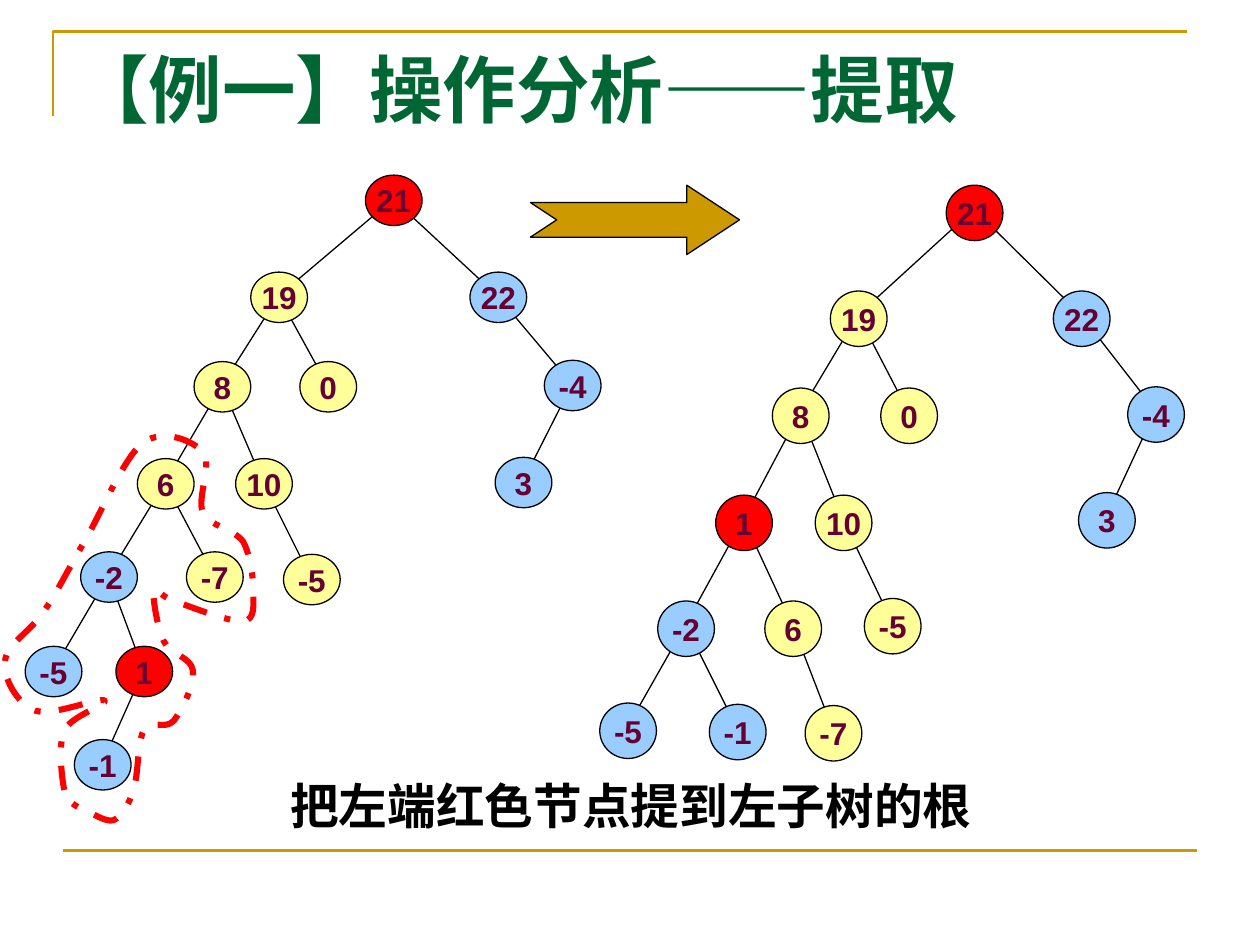
from lxml import etree
from pptx import Presentation
from pptx.dml.color import RGBColor
from pptx.enum.dml import MSO_LINE
from pptx.enum.shapes import MSO_CONNECTOR, MSO_SHAPE
from pptx.enum.text import MSO_ANCHOR, PP_ALIGN
from pptx.oxml.ns import qn
from pptx.util import Pt

PX = 9144  # 100 px to the inch
STRAIGHT = MSO_CONNECTOR.STRAIGHT
LEFT, CENTER = PP_ALIGN.LEFT, PP_ALIGN.CENTER

RED, YELLOW, BLUE = "FF0000", "FFFF99", "99CCFF"
GOLD, BLACK, PLUM, GREEN = "CC9900", "000000", "660033", "006633"

TITLE = "【例一】操作分析——提取"
CAPTION = "把左端红色节点提到左子树的根"

# Each node: label, fill, left, top, index of its parent
TREE_BEFORE = [
    ("21", RED, 290, 139, None),
    ("19", YELLOW, 199, 216, 0),
    ("22", BLUE, 373, 216, 0),
    ("8", YELLOW, 154, 287, 1),
    ("0", YELLOW, 238, 287, 1),
    ("-4", BLUE, 432, 286, 2),
    ("3", BLUE, 393, 363, 5),
    ("6", YELLOW, 109, 364, 3),
    ("10", YELLOW, 187, 364, 3),
    ("-2", BLUE, 64, 438, 7),
    ("-7", YELLOW, 148, 438, 7),
    ("-5", YELLOW, 225, 440, 8),
    ("-5", BLUE, 20, 513, 9),
    ("1", RED, 92, 513, 9),
    ("-1", BLUE, 59, 587, 13),
]
TREE_AFTER = [
    ("21", RED, 751, 147, None),
    ("19", YELLOW, 659, 231, 0),
    ("22", BLUE, 836, 231, 0),
    ("8", YELLOW, 613, 308, 1),
    ("0", YELLOW, 699, 308, 1),
    ("-4", BLUE, 895, 307, 2),
    ("3", BLUE, 856, 391, 5),
    ("1", RED, 568, 393, 3),
    ("10", YELLOW, 647, 393, 3),
    ("-2", BLUE, 522, 477, 7),
    ("6", YELLOW, 607, 477, 7),
    ("-5", YELLOW, 686, 475, 8),
    ("-5", BLUE, 476, 558, 9),
    ("-1", BLUE, 563, 559, 9),
    ("-7", YELLOW, 639, 560, 10),
]
TREES = [(TREE_BEFORE, 45, 40), (TREE_AFTER, 45, 44)]
HUB = (22, 19)  # where edges meet inside a node

# Dashed outline: start, then two control points and an end for each curve
OUTLINE_START = (51, 627)
OUTLINE_CURVES = [
    ((49, 617), (46, 591), (51, 580)),
    ((56, 568), (87, 559), (83, 556)),
    ((79, 553), (41, 569), (28, 564)),
    ((14, 559), (2, 538), (4, 525)),
    ((5, 511), (25, 501), (35, 485)),
    ((46, 469), (54, 452), (67, 430)),
    ((80, 408), (98, 363), (114, 351)),
    ((130, 340), (154, 350), (161, 359)),
    ((169, 368), (156, 395), (161, 407)),
    ((167, 418), (186, 420), (193, 430)),
    ((199, 441), (201, 459), (201, 469)),
    ((201, 480), (203, 492), (193, 493)),
    ((182, 494), (150, 481), (138, 477)),
    ((126, 473), (123, 464), (122, 469)),
    ((121, 475), (125, 498), (130, 509)),
    ((135, 519), (152, 522), (153, 532)),
    ((155, 543), (144, 564), (138, 572)),
    ((131, 580), (119, 570), (114, 580)),
    ((109, 589), (110, 615), (106, 627)),
    ((102, 639), (97, 648), (90, 651)),
    ((84, 653), (73, 645), (67, 643)),
    ((60, 640), (54, 637), (51, 627)),
]


def emu(*lengths):
    return [length * PX for length in lengths]


def color(hex_string):
    return RGBColor.from_string(hex_string)


def style(shape, fill, line, width):
    shape.shadow.inherit = False
    if fill:
        shape.fill.solid()
        shape.fill.fore_color.rgb = color(fill)
    else:
        shape.fill.background()
    shape.line.color.rgb = color(line)
    shape.line.width = Pt(width)


def write(shape, text, size, font, ink, align):
    para = shape.text_frame.paragraphs[0]
    para.text = text
    para.alignment = align
    para.font.size = Pt(size)
    para.font.name = font
    para.font.bold = True
    para.font.color.rgb = color(ink)
    return para


def add_line(page, start, end, ink, width):
    line = page.shapes.add_connector(STRAIGHT, *emu(*start, *end))
    line.line.color.rgb = color(ink)
    line.line.width = Pt(width)
    etree.SubElement(line._element.spPr, qn("a:effectLst"))


def add_polyline(page, points, close):
    builder = page.shapes.build_freeform(*points[0], scale=PX)
    builder.add_line_segments(points[1:], close=close)
    return builder.convert_to_shape()


def add_curve(page, start, curves):
    """Lay the points as line segments, then merge each three into one Bezier."""
    shape = add_polyline(page, [start] + [point for curve in curves for point in curve], True)
    segments = list(shape._element.iter(qn("a:lnTo")))
    for first in range(0, 3 * len(curves), 3):
        bezier = etree.Element(qn("a:cubicBezTo"))
        segments[first].addprevious(bezier)
        for segment in segments[first:first + 3]:
            bezier.append(segment[0])
            segment.getparent().remove(segment)
    for spare in list(shape._element.iter(qn("a:lnTo"))):
        spare.getparent().remove(spare)
    return shape


def add_tree(page, nodes, width, height):
    hubs = [(left + HUB[0], top + HUB[1]) for _, _, left, top, _ in nodes]
    for hub, (*_, parent) in zip(hubs, nodes):
        if parent is not None:
            add_line(page, hubs[parent], hub, BLACK, 0.75)
    for label, fill, left, top, _ in nodes:
        node = page.shapes.add_shape(MSO_SHAPE.OVAL, *emu(left, top, width, height))
        style(node, fill, BLACK, 0.75)
        node.text_frame.word_wrap = False
        node.text_frame.vertical_anchor = MSO_ANCHOR.MIDDLE
        write(node, label, 18, "Arial", PLUM, CENTER)


def add_text(page, area, *text_style):
    box = page.shapes.add_textbox(*emu(*area))
    box.text_frame.word_wrap = True
    return write(box, *text_style)


deck = Presentation()
deck.slide_width, deck.slide_height = emu(1000, 750)
page = deck.slides.add_slide(deck.slide_layouts[6])

corner = add_polyline(page, [(42, 92), (42, 25), (942, 25)], False)
style(corner, None, GOLD, 1.5)
add_line(page, (50, 675), (950, 675), GOLD, 1.5)

for tree in TREES:
    add_tree(page, *tree)

outline = add_curve(page, OUTLINE_START, OUTLINE_CURVES)
style(outline, None, RED, 3.5)
outline.line.dash_style = MSO_LINE.DASH_DOT

arrow = page.shapes.add_shape(MSO_SHAPE.NOTCHED_RIGHT_ARROW, *emu(421, 147, 166, 55))
arrow.adjustments[0] = 0.5
arrow.adjustments[1] = 0.76
style(arrow, GOLD, BLACK, 0.75)

add_text(page, (50, 30, 900, 125), TITLE, 42, "Times New Roman", GREEN, LEFT)
caption = add_text(page, (51, 611, 900, 59), CAPTION, 27.8, "Arial", BLACK, CENTER)
caption.space_before = Pt(7.5)

deck.save("out.pptx")
